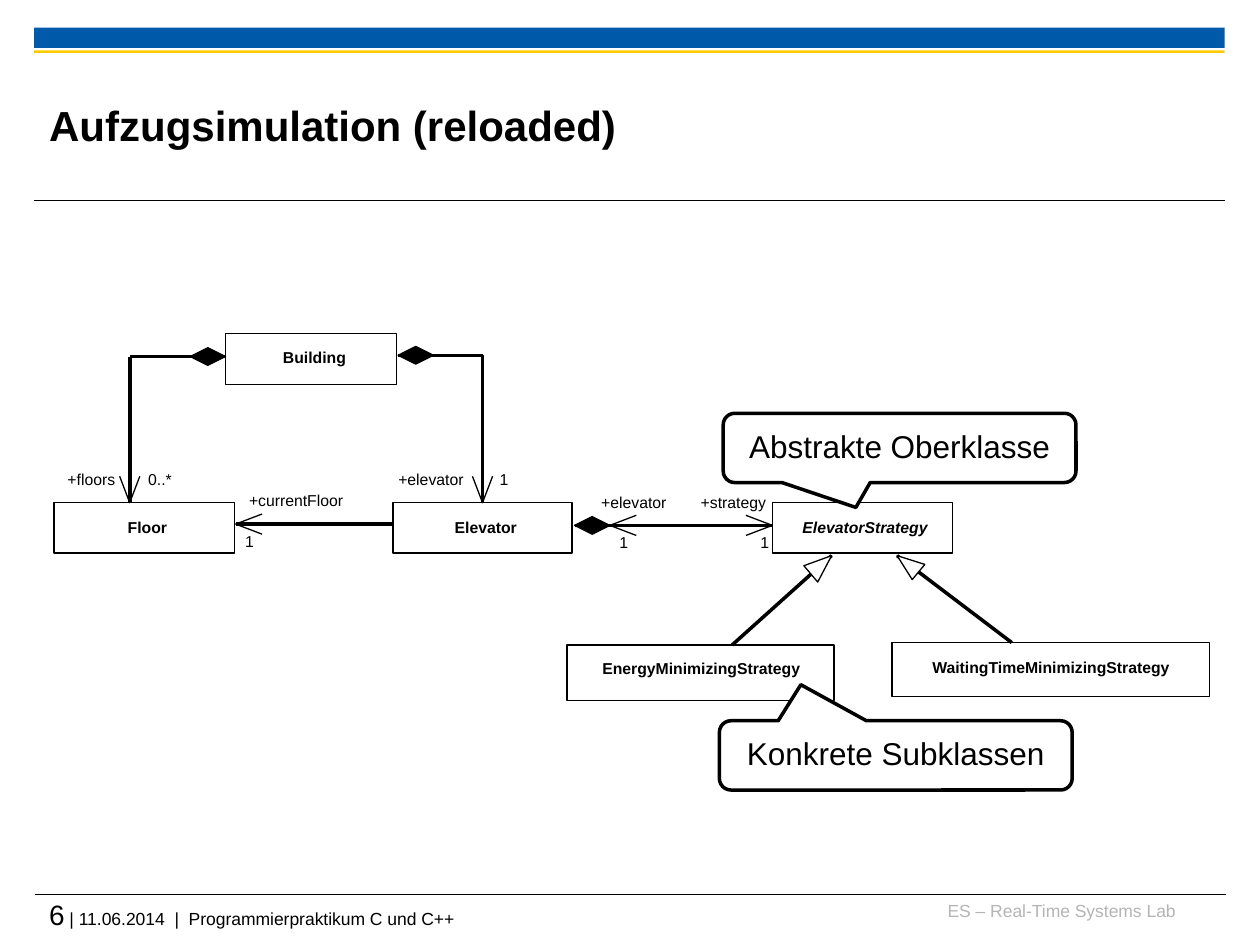
from pptx import Presentation
from pptx import util as u
from pptx.dml.color import RGBColor
from pptx.enum import shapes, text
from lxml import etree

BLACK, WHITE = "000000", "FFFFFF"
LEFT, CENTER, RIGHT = text.PP_ALIGN.LEFT, text.PP_ALIGN.CENTER, text.PP_ALIGN.RIGHT
DRAWING = "http://schemas.openxmlformats.org/drawingml/2006/main"

BARS = [((0.27, 0.22, 9.45, 0.16), "005AA9"), ((0.27, 0.4, 9.45, 0.02), "FDCA00")]
RULES = [((0.28, 7.1), (9.73, 7.1)), ((0.27, 1.59), (9.72, 1.59))]
FRAME_TEXTS = [
    ((7.36, 7.14, 1.97, 0.25), RIGHT, text.MSO_ANCHOR.TOP,
     [("ES – Real-Time Systems Lab", dict(size=10, color="B5B5B5"))]),
    ((0.39, 7.12, 9.33, 0.33), LEFT, text.MSO_ANCHOR.TOP,
     [("6", dict(size=16)),
      (" | 11.06.2014  |  Programmierpraktikum C und C++", dict(size=10))]),
    ((0.39, 0.53, 7.52, 0.92), LEFT, text.MSO_ANCHOR.MIDDLE,
     [("Aufzugsimulation (reloaded)", dict(size=24, bold=True))]),
]
CLASSES = [
    ("Building", (1.79, 2.65, 1.36, 0.4), (2.19, 2.77, 0.61), False),
    ("Elevator", (3.12, 3.99, 1.42, 0.4), (3.55, 4.12, 0.61), False),
    ("ElevatorStrategy", (6.13, 3.99, 1.43, 0.4), (6.29, 4.12, 1.15), True),
    ("Floor", (0.43, 3.99, 1.43, 0.4), (0.97, 4.12, 0.4), False),
    ("EnergyMinimizingStrategy", (4.5, 5.12, 2.12, 0.44), (4.68, 5.24, 1.77), False),
    ("WaitingTimeMinimizingStrategy", (7.08, 5.1, 2.52, 0.43), (7.28, 5.23, 2.12), False),
]
ASSOCIATIONS = [
    ((3.12, 4.16), (1.87, 4.16)),
    ((4.56, 4.17), (6.13, 4.17)),
    ((3.16, 2.82), (3.83, 2.82)),
    ((1.79, 2.83), (1.03, 2.83)),
    ((1.03, 2.83), (1.03, 3.99)),
    ((5.81, 5.12), (6.6, 4.41)),
    ((8.03, 5.1), (7.12, 4.41)),
]
ELEVATOR_DROP = ((3.83, 2.82), (3.83, 3.99))
DIAMOND_CENTERS = [(4.7, 4.17), (3.3, 2.82), (1.65, 2.83)]
OPEN_ARROWS = [
    ((1.87, 4.16), (1, 0)), ((6.13, 4.17), (-1, 0)), ((4.84, 4.17), (1, 0)),
    ((3.83, 3.99), (0, -1)), ((1.03, 3.99), (0, -1)),
]
INHERITANCE_HEADS = [
    [(6.49, 4.62), (6.38, 4.49), (6.6, 4.41)],
    [(7.34, 4.48), (7.24, 4.6), (7.12, 4.41)],
]
END_LABELS = [
    ("+currentFloor", 1.92, 3.91, 0.86), ("1", 1.92, 4.23, 0.12),
    ("+elevator", 4.72, 3.92, 0.62), ("1", 4.89, 4.24, 0.12),
    ("+strategy", 5.51, 3.92, 0.62), ("1", 6.01, 4.24, 0.12),
    ("+elevator", 3.11, 3.74, 0.62), ("1", 3.94, 3.74, 0.12),
    ("+floors", 0.49, 3.74, 0.47), ("0..*", 1.14, 3.74, 0.26),
]
CALLOUTS = [
    ("Abstrakte Oberklasse", (5.74, 3.28, 2.8, 0.55), (-0.124, 0.859, 0.167)),
    ("Konkrete Subklassen", (5.71, 5.72, 2.8, 0.55), (-0.269, -1.02, 0.167)),
]


def rgb(color):
    return RGBColor.from_string(color)


def inches(values):
    return [u.Inches(value) for value in values]


def paint(shape, fill=None, line=None, width=0):
    shape.shadow.inherit = False
    if fill:
        shape.fill.solid()
        shape.fill.fore_color.rgb = rgb(fill)
    else:
        shape.fill.background()
    if line:
        shape.line.color.rgb = rgb(line)
        shape.line.width = u.Pt(width)
    else:
        shape.line.fill.background()


def add_spans(para, spans):
    for wording, formats in spans:
        span = para.add_run()
        span.text = wording
        settings = dict(name="Arial", color=BLACK) | formats
        span.font.color.rgb = rgb(settings.pop("color"))
        settings["size"] = u.Pt(settings["size"])
        for key, value in settings.items():
            setattr(span.font, key, value)


def add_text(page, place, spans, align, anchor=text.MSO_ANCHOR.TOP, wrap=True, spacing=None):
    frame = page.shapes.add_textbox(*inches(place)).text_frame
    layout = dict(margin_left=0, margin_top=0, margin_right=0, margin_bottom=0,
                  vertical_anchor=anchor, word_wrap=wrap)
    for key, value in layout.items():
        setattr(frame, key, value)
    if not wrap:
        frame.auto_size = text.MSO_AUTO_SIZE.SHAPE_TO_FIT_TEXT
    para = frame.paragraphs[0]
    para.alignment = align
    para.line_spacing = spacing
    add_spans(para, spans)


def add_label(page, wording, left, top, width, **formats):
    add_text(page, (left, top, width, 0.18), [(wording, dict(size=9) | formats)],
             CENTER, wrap=False, spacing=0.93)


def add_box(page, kind, place, **style):
    box = page.shapes.add_shape(kind, *inches(place))
    paint(box, **style)
    return box


def add_line(page, start, end, width=0):
    line = page.shapes.add_connector(shapes.MSO_CONNECTOR.STRAIGHT, *inches(start + end))
    line.line.color.rgb = rgb(BLACK)
    line.line.width = u.Pt(width)
    etree.SubElement(line._element.spPr, f"{{{DRAWING}}}effectLst")
    return line


def add_outline(page, points, fill=None):
    corners = [tuple(inches(point)) for point in points]
    builder = page.shapes.build_freeform(*corners[0], scale=1.0)
    builder.add_line_segments(corners[1:], close=fill is not None)
    paint(builder.convert_to_shape(), fill, BLACK)


def main():
    deck = Presentation()
    deck.slide_width, deck.slide_height = inches((10, 7.5))
    page = deck.slides.add_slide(deck.slide_layouts[6])
    rectangle = shapes.MSO_SHAPE.RECTANGLE

    for place, color in BARS:
        add_box(page, rectangle, place, fill=color)
    for start, end in RULES:
        add_line(page, start, end, 0.6)
    for place, align, anchor, spans in FRAME_TEXTS:
        add_text(page, place, spans, align, anchor)

    boxes = {}
    for name, place, label_place, abstract in CLASSES:
        boxes[name] = add_box(page, rectangle, place, fill=WHITE, line=BLACK)
        add_label(page, name, *label_place, bold=True, italic=abstract)

    for start, end in ASSOCIATIONS:
        add_line(page, start, end)
    add_line(page, *ELEVATOR_DROP).end_connect(boxes["Elevator"], 0)

    for x, y in DIAMOND_CENTERS:
        add_outline(page, [(x, y - 0.07), (x - 0.14, y), (x, y + 0.07), (x + 0.14, y)], BLACK)
    for (x, y), (dx, dy) in OPEN_ARROWS:
        barbs = [(x + 0.21 * dx + side * dy, y + 0.21 * dy + side * dx)
                 for side in (-0.08, 0.08)]
        add_outline(page, [barbs[0], (x, y), barbs[1]])
    for corners in INHERITANCE_HEADS:
        add_outline(page, corners, WHITE)
    for label in END_LABELS:
        add_label(page, *label)

    for wording, place, adjustments in CALLOUTS:
        callout = add_box(page, shapes.MSO_SHAPE.ROUNDED_RECTANGULAR_CALLOUT, place,
                          fill=WHITE, line=BLACK, width=2)
        for index, value in enumerate(adjustments):
            callout.adjustments[index] = value
        callout.text_frame.vertical_anchor = text.MSO_ANCHOR.MIDDLE
        para = callout.text_frame.paragraphs[0]
        para.alignment = CENTER
        para.line_spacing = 0.93
        add_spans(para, [(wording, dict(size=18))])

    deck.save("out.pptx")


if __name__ == "__main__":
    main()
